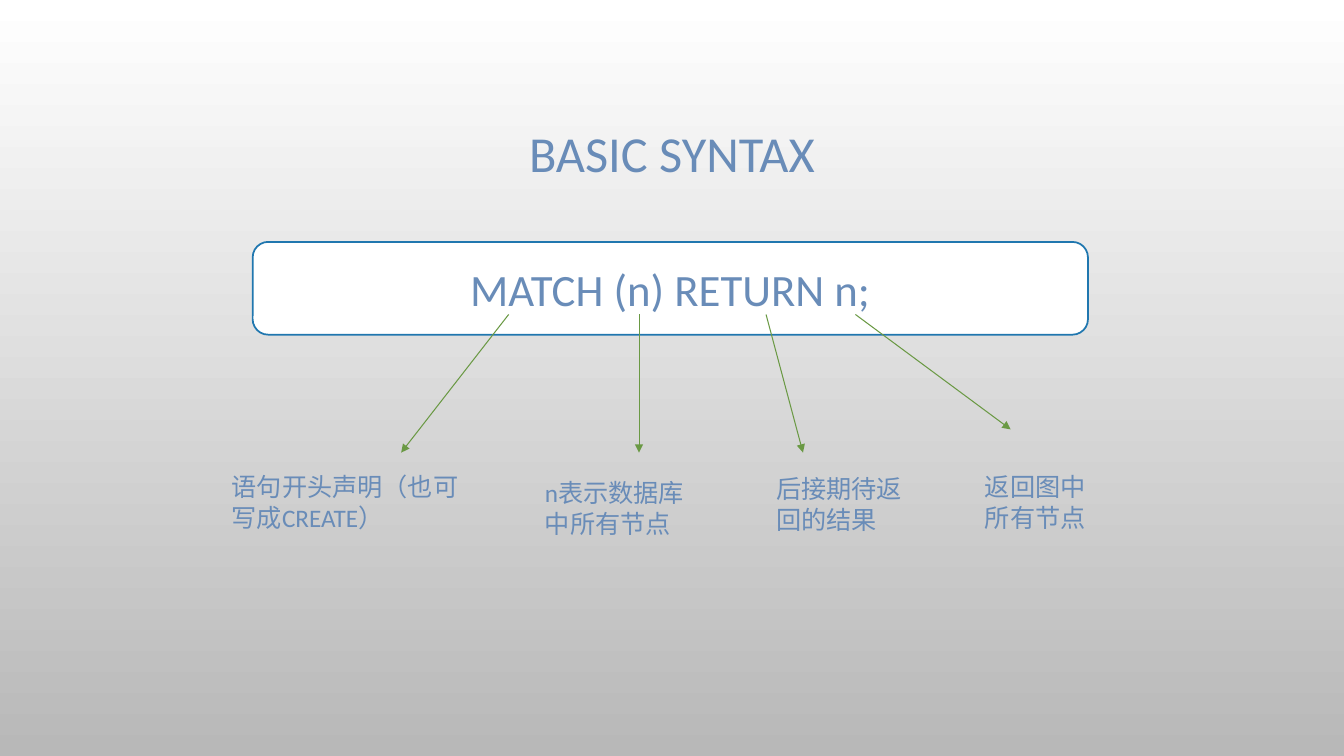
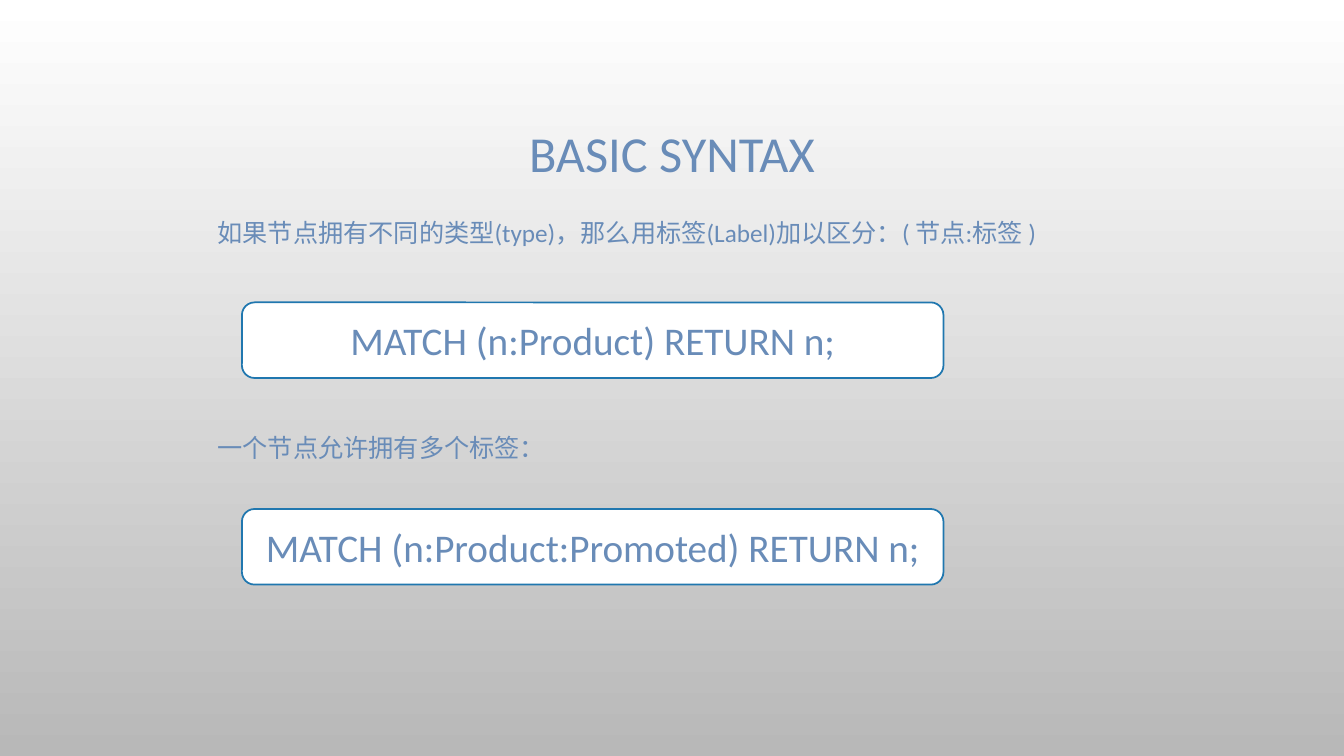
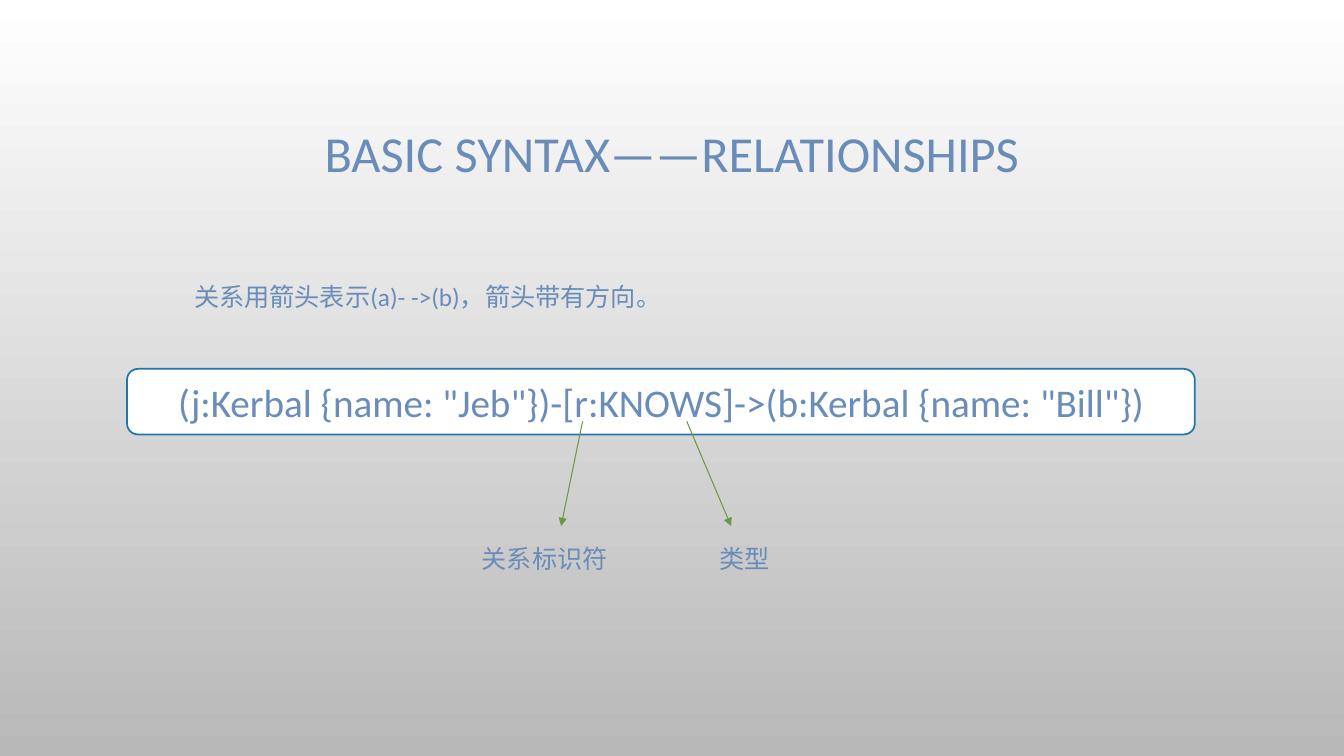
from lxml import etree
from pptx import Presentation
from pptx.dml.color import RGBColor
from pptx.enum.shapes import MSO_CONNECTOR, MSO_SHAPE
from pptx.enum.text import MSO_ANCHOR, MSO_AUTO_SIZE, PP_ALIGN
from pptx.oxml.ns import qn
from pptx.util import Inches, Pt

ROUNDED, STRAIGHT = MSO_SHAPE.ROUNDED_RECTANGLE, MSO_CONNECTOR.STRAIGHT
TOP, MIDDLE = MSO_ANCHOR.TOP, MSO_ANCHOR.MIDDLE
LEFT, CENTER = PP_ALIGN.LEFT, PP_ALIGN.CENTER
GROW, FIXED = MSO_AUTO_SIZE.SHAPE_TO_FIT_TEXT, MSO_AUTO_SIZE.NONE

# Shared style
FONT = "Calibri"
TEXT, BORDER, ARROW, WHITE, GREY = "698CB8", "2077AF", "6A9944", "FFFFFF", "B8B8B8"
TITLE_SIZE, CODE_SIZE, NOTE_SIZE = 36, 28, 18
TITLE_PLACE = (7.5, 9.07, 85, 23.2)
ONE_LINE, TWO_LINES = 5.33, 9.33


def color(hex_string):
    return RGBColor.from_string(hex_string)


def write(shape, text, size=NOTE_SIZE, align=LEFT, anchor=TOP, fit=FIXED, spacing=1.0):
    frame = shape.text_frame
    frame.word_wrap = True
    frame.auto_size = fit
    frame.vertical_anchor = anchor
    paragraph = frame.paragraphs[0]
    paragraph.alignment = align
    paragraph.line_spacing = spacing
    run = paragraph.add_run()
    run.text = text
    run.font.name = FONT
    run.font.size = Pt(size)
    run.font.color.rgb = color(TEXT)


class Deck:
    """Places elements in percent of the slide's width and height."""

    def __init__(self):
        self.presentation = Presentation()
        self.presentation.slide_width = Inches(13.34)
        self.presentation.slide_height = Inches(7.5)
        self.slide = None
        self.paint_background()

    def paint_background(self):
        fill = self.presentation.slide_master.background.fill
        fill.gradient()
        fill.gradient_angle = 270
        for stop, shade in zip(fill.gradient_stops, (WHITE, GREY)):
            stop.color.rgb = color(shade)

    def place(self, *shares):
        sizes = (self.presentation.slide_width, self.presentation.slide_height)
        return [round(share * sizes[i % 2] / 100) for i, share in enumerate(shares)]

    def new_slide(self, title):
        self.slide = self.presentation.slides.add_slide(self.presentation.slide_layouts[6])
        box = self.slide.shapes.add_textbox(*self.place(*TITLE_PLACE))
        write(box, title, size=TITLE_SIZE, align=CENTER, anchor=MIDDLE, spacing=0.9)

    def note(self, text, left, top, width, height=ONE_LINE):
        box = self.slide.shapes.add_textbox(*self.place(left, top, width, height))
        write(box, text, fit=GROW)

    def code(self, text, left, top, width, height, size=CODE_SIZE):
        shape = self.slide.shapes.add_shape(ROUNDED, *self.place(left, top, width, height))
        shape.shadow.inherit = False
        shape.fill.solid()
        shape.fill.fore_color.rgb = color(WHITE)
        shape.line.color.rgb = color(BORDER)
        shape.line.width = Pt(1.25)
        write(shape, text, size=size, align=CENTER, anchor=MIDDLE)

    def arrow(self, *ends):
        connector = self.slide.shapes.add_connector(STRAIGHT, *self.place(*ends))
        connector.line.color.rgb = color(ARROW)
        connector.line.width = Pt(0.75)
        etree.SubElement(connector.line._get_or_add_ln(), qn("a:tailEnd"), type="triangle")
        etree.SubElement(connector._element.spPr, qn("a:effectLst"))


def basic_syntax(deck):
    deck.new_slide("BASIC SYNTAX")
    deck.code("MATCH (n) RETURN n;", 18.8, 32, 62.15, 12.27, size=32)
    # Arrow start, arrow end, then the note's left, top and width
    parts = [
        (37.85, (29.85, 59.87), "语句开头声明（也可写成CREATE）", (16.5, 61.73, 18.8)),
        (47.55, (47.55, 59.87), "n表示数据库中所有节点", (39.8, 62.53, 12.9)),
        (57, (59.75, 59.87), "后接期待返回的结果", (57, 62, 11.1)),
        (63.65, (75.2, 56.8), "返回图中所有节点", (72.55, 61.73, 10.05)),
    ]
    for start, tip, text, spot in parts:
        deck.arrow(start, 41.6, *tip)
        deck.note(text, *spot, TWO_LINES)


def labels(deck):
    deck.new_slide("BASIC SYNTAX")
    examples = [
        ("如果节点拥有不同的类型(type)，那么用标签(Label)加以区分：( 节点:标签 )", 28.13,
         "MATCH (n:Product) RETURN n;", 40),
        ("一个节点允许拥有多个标签：", 56.53,
         "MATCH (n:Product:Promoted) RETURN n;", 67.33),
    ]
    for text, text_top, code, code_top in examples:
        deck.note(text, 15.45, text_top, 69.1)
        deck.code(code, 18, code_top, 52.2, 10)


def relationships(deck):
    deck.new_slide("BASIC SYNTAX——RELATIONSHIPS")
    deck.note("关系用箭头表示(a)- ->(b)，箭头带有方向。", 13.7, 36.53, 70.9)
    deck.code('(j:Kerbal {name: "Jeb"})-[r:KNOWS]->(b:Kerbal {name: "Bill"})',
              9.45, 48.8, 79.45, 8.67)
    # Arrow start and end, then the note's left and width
    parts = [
        (43.35, 41.75, "关系标识符", 35.1, 11.1),
        (51.1, 54.4, "类型", 52.8, 6.15),
    ]
    for start, end, text, left, width in parts:
        deck.arrow(start, 55.73, end, 69.6)
        deck.note(text, left, 71.2, width)


def main():
    deck = Deck()
    basic_syntax(deck)
    labels(deck)
    relationships(deck)
    deck.presentation.save("out.pptx")


if __name__ == "__main__":
    main()
